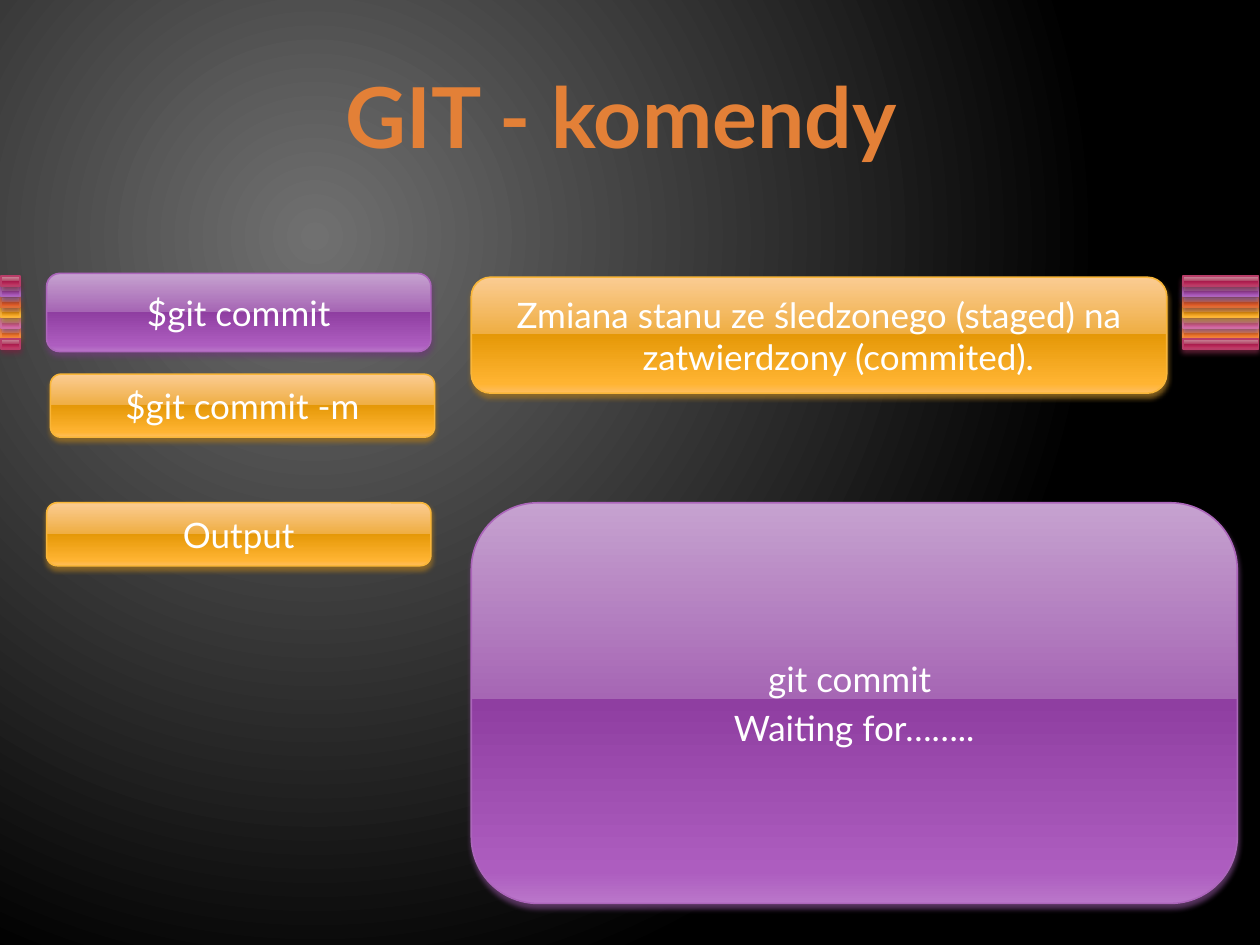
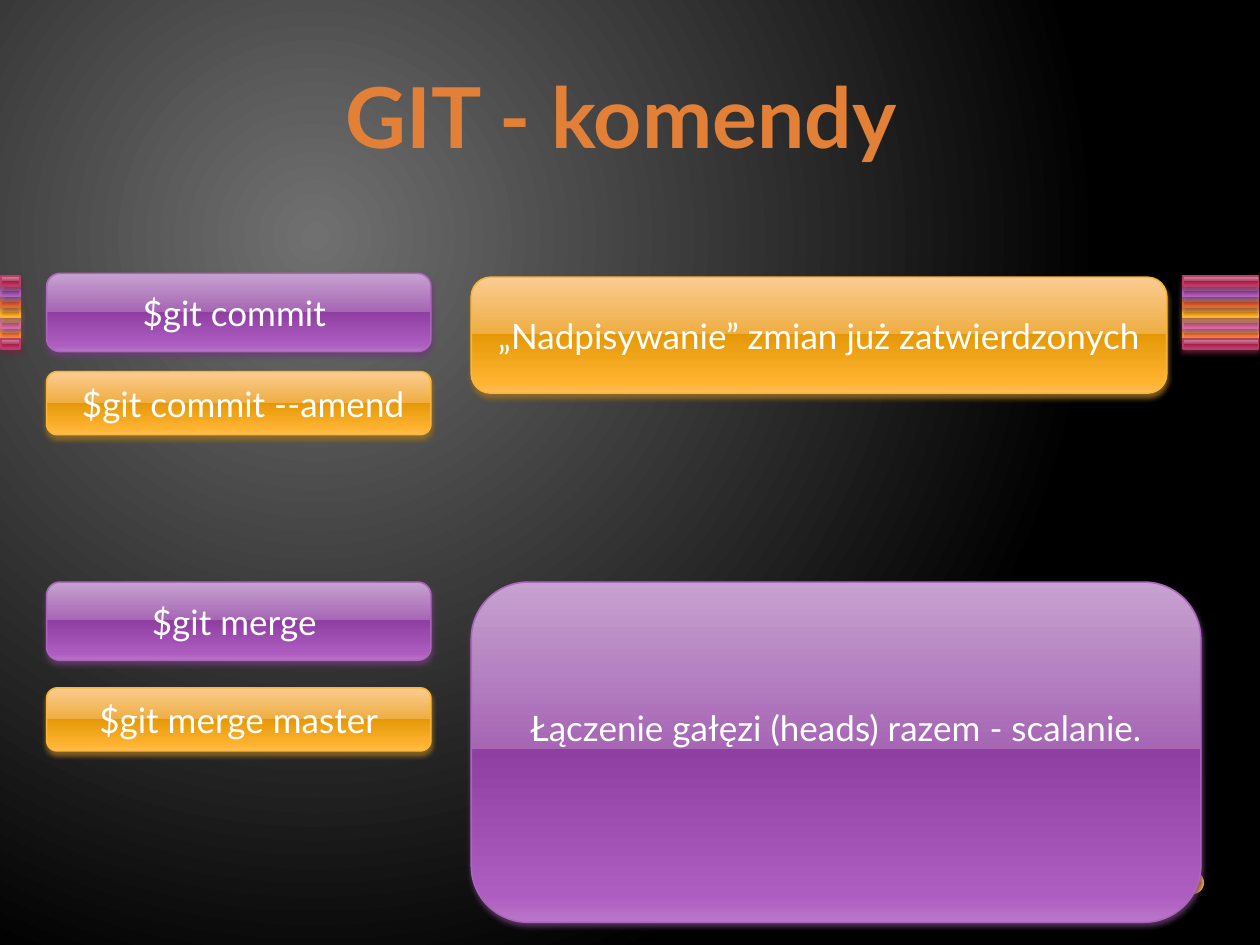
from lxml import etree
from pptx import Presentation
from pptx.dml.color import RGBColor
from pptx.enum.shapes import MSO_SHAPE as Shape
from pptx.enum.text import MSO_ANCHOR as Anchor, MSO_AUTO_SIZE as AutoSize, PP_ALIGN as Align
from pptx.oxml import parse_xml
from pptx.oxml.ns import nsdecls, qn
from pptx.util import Inches, Pt

# Content: (text lines, colour, left, top, width, height, optional bottom inset)
TITLE = "GIT - komendy"
LEFT, RIGHT, LABEL_WIDTH = 0.37, 3.74, 3.05
COMMAND_HEIGHT, VARIANT_HEIGHT = 0.62, 0.5
SLIDES = [
    [
        (["$git commit"], "purple", LEFT, 2.17, LABEL_WIDTH, COMMAND_HEIGHT),
        (["$git commit -m"], "amber", 0.4, 2.97, LABEL_WIDTH, VARIANT_HEIGHT),
        (["Zmiana stanu ze śledzonego (staged) na zatwierdzony (commited). "],
         "amber", RIGHT, 2.2, 5.52, 0.92),
        (["git commit ", "Waiting for…….."], "purple", RIGHT, 3.99, 6.08, 3.18),
        (["Output"], "amber", LEFT, 3.99, LABEL_WIDTH, VARIANT_HEIGHT),
    ],
    [
        (["$git commit "], "purple", LEFT, 2.17, LABEL_WIDTH, COMMAND_HEIGHT),
        ([" $git commit --amend"], "amber", LEFT, 2.95, LABEL_WIDTH, VARIANT_HEIGHT),
        (["„Nadpisywanie” zmian już zatwierdzonych"], "amber", RIGHT, 2.2, 5.52, 0.92),
        (["$git merge "], "purple", LEFT, 4.62, LABEL_WIDTH, COMMAND_HEIGHT),
        (["$git merge master"], "amber", LEFT, 5.46, LABEL_WIDTH, VARIANT_HEIGHT),
        (["Łączenie gałęzi (heads) razem - scalanie."],
         "purple", RIGHT, 4.62, 5.79, 2.7, 0.44),
    ],
]

# Glossy colours: five gradient stops, line, shadow
FONT = "Lato"
GLOSS_POSITIONS = (0, 49, 49, 92, 100)
GLOSS = {
    "orange": ("FBB494 F08745 E5670B FF8736 FF9961", "FA8D3D", "9A5726"),
    "pink": ("DDA4C1 C66B9D B34181 D361A0 DC79AE", "CF6DA4", "804365"),
    "amber": ("FBCC93 EFAE43 E59807 FFB432 FFBE5F", "F9B639", "9A7023"),
    "red": ("E7A493 D66B42 CC4809 E9642C F07B55", "DE6C36", "894321"),
    "purple": ("C6A2D0 A666B4 8F3EA1 AD5DBF BA76CA", "AC66BB", "6A3F73"),
    "crimson": ("CE94A2 B34869 A61749 C13764 CA5D7C", "B83D68", "722640"),
}

# Ribbons at both edges, stacked upwards with the last stripe at the foot
STRIPES = ["orange", "pink", "amber", "red", "purple", "crimson", "crimson"]
STRIPE_TOP, STRIPE_STEP, STRIPE_HEIGHT = 2.19, 0.083, 0.08
RIBBONS = [(0.01, 0.15), (9.39, 0.6)]  # left, width
DOWN = '<a:lin ang="5400000" scaled="0"/>'
UP = '<a:lin ang="16200000" scaled="0"/>'
GLOW = '<a:path path="circle"><a:fillToRect l="50000" t="50000" r="100000" b="100000"/></a:path>'


def rgb(value):
    return RGBColor.from_string(value)


def set_gradient(fill, owner, stops, direction):
    """Give the fill that belongs to the XML element owner a gradient."""
    fill.background()
    empty = next(owner.iter(qn("a:noFill")))
    stop_xml = "".join(f'<a:gs pos="{position * 1000}"><a:srgbClr val="{color}"/></a:gs>'
                       for position, color in stops)
    gradient = parse_xml(f'<a:gradFill {nsdecls("a")} rotWithShape="1">'
                         f'<a:gsLst>{stop_xml}</a:gsLst>{direction}</a:gradFill>')
    empty.getparent().replace(empty, gradient)


def add_shadow(shape, color):
    effects = shape.element.spPr.find(qn("a:effectLst"))
    shadow = etree.SubElement(effects, qn("a:outerShdw"), blurRad=str(Pt(3.1)),
                              dist=str(Pt(2)), dir="5400000", rotWithShape="0")
    tint = etree.SubElement(shadow, qn("a:srgbClr"), val=color)
    etree.SubElement(tint, qn("a:alpha"), val="83000")


def add_glossy(shapes, kind, color, left, top, width, height, shadow=True):
    shape = shapes.add_shape(kind, Inches(left), Inches(top), Inches(width), Inches(height))
    stops, line_color, shadow_color = GLOSS[color]
    shape.shadow.inherit = False
    set_gradient(shape.fill, shape.element.spPr, zip(GLOSS_POSITIONS, stops.split()), DOWN)
    shape.line.color.rgb = rgb(line_color)
    shape.line.width = Pt(0.9)
    if shadow:
        add_shadow(shape, shadow_color)
    return shape


def write(frame, lines, size=20, color="FFFFFF", bold=False, bottom=0.05):
    """Write centred lines with a hanging indent."""
    frame.word_wrap = True
    frame.auto_size = AutoSize.NONE
    frame.vertical_anchor = Anchor.MIDDLE
    frame.margin_bottom = Inches(bottom)
    for index, line in enumerate(lines):
        paragraph = frame.add_paragraph() if index else frame.paragraphs[0]
        paragraph.alignment = Align.CENTER
        paragraph.space_before = Pt(size * 0.2)
        properties = paragraph._p.get_or_add_pPr()
        properties.set("marL", str(Inches(0.38)))
        properties.set("indent", str(-Inches(0.38)))
        run = paragraph.add_run()
        run.text = line
        run.font.name, run.font.size, run.font.bold = FONT, Pt(size), bold
        run.font.color.rgb = rgb(color)


def add_title(slide):
    title = slide.shapes.title
    title.left, title.top, title.width, title.height = map(Inches, (0.43, 0.29, 9, 1.25))
    write(title.text_frame, [TITLE], size=48, color="E38037", bold=True)
    run = title.text_frame.paragraphs[0].runs[0]
    set_gradient(run.font.fill, run._r, [(40, "E38037"), (45, "FA8D3D")], UP)


def decorate_layout(layout, slide):
    """Draw the shared parts with the slide's tools, then move them to the layout."""
    set_gradient(layout.background.fill, layout.element, [(0, "707070"), (100, "000000")], GLOW)
    for placeholder in list(layout.placeholders)[1:]:
        layout.shapes.element.remove(placeholder.element)
    parts = []
    for left, width in RIBBONS:
        ribbon = slide.shapes.add_group_shape()
        for index, color in enumerate(STRIPES):
            row = (5 - index) % len(STRIPES)
            add_glossy(ribbon.shapes, Shape.RECTANGLE, color, left,
                       STRIPE_TOP + row * STRIPE_STEP, width, STRIPE_HEIGHT)
        parts.append(ribbon)
    parts.append(add_glossy(slide.shapes, Shape.OVAL, "amber", 9.38, 6.92, 0.17, 0.17,
                            shadow=False))
    for part in parts:
        layout.shapes.element.append(part.element)


def main():
    presentation = Presentation()
    presentation.slide_width, presentation.slide_height = Inches(10), Inches(7.5)
    layout = presentation.slide_layouts[5]
    for number, boxes in enumerate(SLIDES):
        slide = presentation.slides.add_slide(layout)
        if number == 0:
            decorate_layout(layout, slide)
        add_title(slide)
        for lines, color, left, top, width, height, *bottom in boxes:
            box = add_glossy(slide.shapes, Shape.ROUNDED_RECTANGLE, color,
                             left, top, width, height)
            write(box.text_frame, lines, bottom=bottom[0] if bottom else 0.05)
    presentation.save("out.pptx")


if __name__ == "__main__":
    main()
